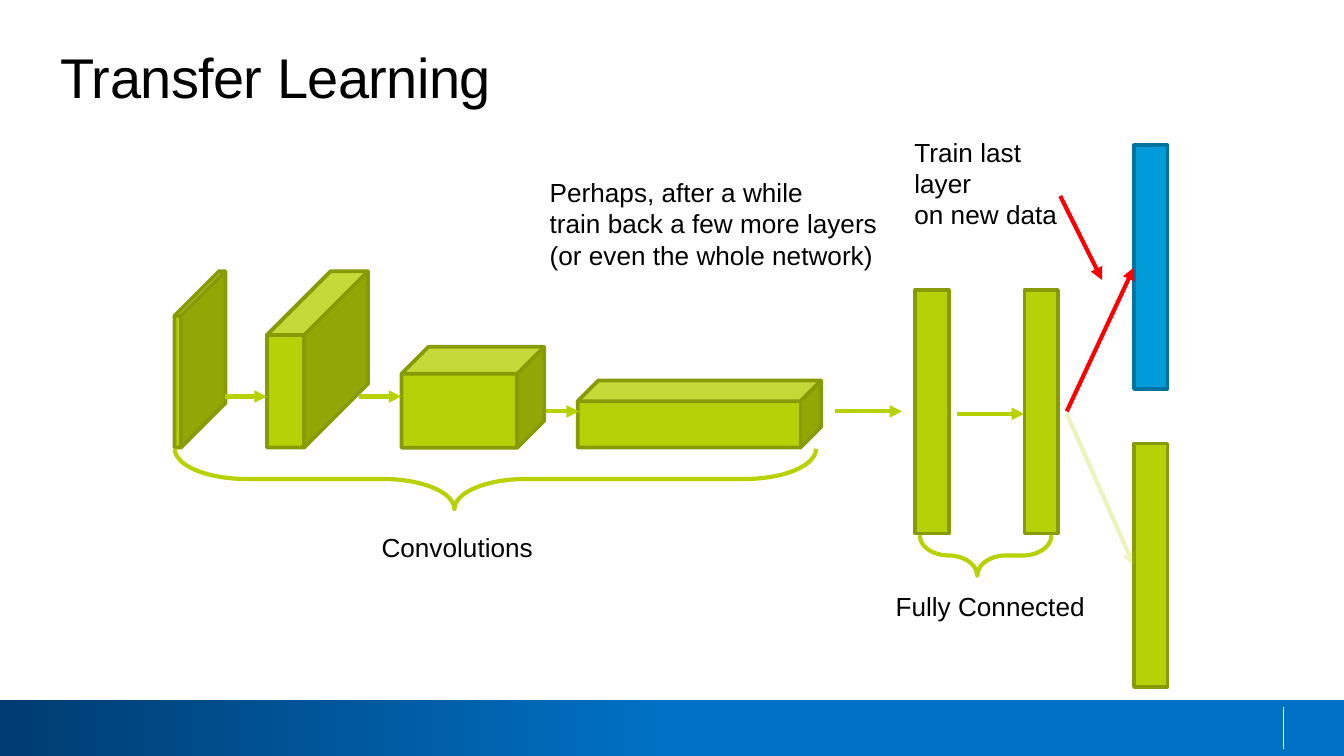
from lxml import etree
from pptx import Presentation
from pptx.dml.color import RGBColor
from pptx.enum.shapes import MSO_CONNECTOR, MSO_SHAPE
from pptx.enum.text import MSO_ANCHOR, PP_ALIGN
from pptx.oxml.ns import qn
from pptx.util import Pt

STRAIGHT = MSO_CONNECTOR.STRAIGHT
RECTANGLE = MSO_SHAPE.RECTANGLE
CUBE = MSO_SHAPE.CUBE
BRACE = MSO_SHAPE.RIGHT_BRACE
TOP = MSO_ANCHOR.TOP
LEFT = PP_ALIGN.LEFT

BLACK = RGBColor(0x00, 0x00, 0x00)
WHITE = RGBColor(0xFF, 0xFF, 0xFF)
NAVY = RGBColor(0x00, 0x3C, 0x71)
BLUE = RGBColor(0x00, 0x71, 0xC5)
LIME = RGBColor(0xB7, 0xD1, 0x08)
LIME_LINE = RGBColor(0xB7, 0xD1, 0x03)
OLIVE = RGBColor(0x87, 0x9B, 0x06)
SKY = RGBColor(0x00, 0x9C, 0xDA)
SKY_EDGE = RGBColor(0x00, 0x73, 0xA1)
RED = RGBColor(0xFF, 0x00, 0x00)

LAYER_WIDTH, LAYER_HEIGHT = 18, 130.5
CUBE_BASE = 239.8


class NetworkSlide:
    font_name = "Arial"
    text_size = 14
    title_size = 30
    edge_width = 2
    arrow_width = 2.25

    def __init__(self, slide):
        self.slide = slide

    def add_text(self, paragraph, text, size):
        paragraph.alignment = LEFT
        run = paragraph.add_run()
        run.text = text
        run.font.name = self.font_name
        run.font.size = Pt(size)
        run.font.color.rgb = BLACK
        return run

    def title(self, text, left, top, width, height):
        shape = self.slide.shapes.title
        shape.left, shape.top = Pt(left), Pt(top)
        shape.width, shape.height = Pt(width), Pt(height)
        frame = shape.text_frame
        frame.margin_left = Pt(0.9)
        frame.margin_right = frame.margin_top = frame.margin_bottom = 0
        frame.vertical_anchor = TOP
        run = self.add_text(frame.paragraphs[0], text, self.title_size)
        run._r.get_or_add_rPr().set("spc", "-30")

    def label(self, lines, left, top, width, height, wrap=False):
        box = self.slide.shapes.add_textbox(Pt(left), Pt(top), Pt(width), Pt(height))
        frame = box.text_frame
        frame.word_wrap = wrap
        for index, line in enumerate(lines):
            paragraph = frame.add_paragraph() if index else frame.paragraphs[0]
            self.add_text(paragraph, line, self.text_size)

    def shape(self, kind, left, top, width, height):
        shape = self.slide.shapes.add_shape(kind, Pt(left), Pt(top), Pt(width), Pt(height))
        shape.shadow.inherit = False
        return shape

    def block(self, kind, left, top, width, height, fill=LIME, edge=OLIVE):
        shape = self.shape(kind, left, top, width, height)
        shape.fill.solid()
        shape.fill.fore_color.rgb = fill
        shape.line.color.rgb = edge
        shape.line.width = Pt(self.edge_width)
        return shape

    def cube(self, left, width, height, depth):
        cube = self.block(CUBE, left, CUBE_BASE - height, width, height)
        cube.adjustments[0] = depth

    def layer(self, left, top, fill=LIME, edge=OLIVE):
        self.block(RECTANGLE, left, top, LAYER_WIDTH, LAYER_HEIGHT, fill, edge)

    def brace(self, left, top, width, height):
        brace = self.shape(BRACE, left + (width - height) / 2,
                           top + (height - width) / 2, height, width)
        brace.rotation = 90
        brace.adjustments[0] = 1.18
        brace.adjustments[1] = 0.564
        brace.fill.background()
        brace.line.color.rgb = LIME_LINE
        brace.line.width = Pt(self.arrow_width)

    def band(self, left, top, width, height):
        band = self.shape(RECTANGLE, left, top, width, height)
        band.line.fill.background()
        band.fill.gradient()
        band.fill.gradient_angle = 0
        for stop, color, position in zip(band.fill.gradient_stops, (NAVY, BLUE), (0, 0.5)):
            stop.color.rgb = color
            stop.position = position

    def line(self, start, end, color, width):
        line = self.slide.shapes.add_connector(
            STRAIGHT, Pt(start[0]), Pt(start[1]), Pt(end[0]), Pt(end[1]))
        line.line.color.rgb = color
        line.line.width = Pt(width)
        etree.SubElement(line._element.spPr, qn("a:effectLst"))
        return line

    def arrow(self, start, end, color=LIME_LINE, opacity=None):
        connector = self.line(start, end, color, self.arrow_width)
        outline = connector._element.spPr.find(qn("a:ln"))
        if opacity is not None:
            color_element = outline.find(".//" + qn("a:srgbClr"))
            etree.SubElement(color_element, qn("a:alpha"), val=str(opacity * 1000))
        etree.SubElement(outline, qn("a:tailEnd"), type="triangle")


def main():
    presentation = Presentation()
    presentation.slide_width, presentation.slide_height = Pt(720), Pt(405)
    slide = presentation.slides.add_slide(presentation.slide_layouts[5])
    network = NetworkSlide(slide)

    network.band(0, 375, 720, 30)
    network.line((687.6, 378.7), (687.6, 401.5), WHITE, 0.75)
    network.title("Transfer Learning", 31.5, 23, 664.5, 36)

    for left, width, height, depth in (
        (93.5, 27.3, 94.5, 0.875),
        (143, 54.2, 94.5, 0.631),
        (215.1, 76.5, 54, 0.268),
        (309.5, 130.5, 36, 0.31),
    ):
        network.cube(left, width, height, depth)

    for left, top in ((490.3, 155.4), (548.8, 155.4), (607.5, 237.6)):
        network.layer(left, top)

    for left, right, height in (
        (120.5, 143, 212.4),
        (192.5, 215, 212.4),
        (292.5, 310.2, 220.4),
        (447.3, 483.3, 220.4),
        (512.6, 548.7, 221.7),
    ):
        network.arrow((left, height), (right, height))
    network.arrow((571.5, 221.7), (607.5, 303), opacity=25)

    network.layer(607.5, 77.9, SKY, SKY_EDGE)
    network.arrow((571.5, 220.4), (607.5, 143.3), RED)

    network.brace(93.6, 240.4, 343.6, 32.4)
    network.brace(492.7, 286.7, 70.6, 21.8)

    network.label(["Convolutions"], 197.3, 281, 97.2, 24.2)
    network.label(["Fully Connected"], 472.7, 312.7, 117.4, 24.2)
    network.label(["Train last layer", "on new data"], 482.8, 69.3, 105.1, 41, wrap=True)
    network.arrow((568, 105), (590.4, 150), RED)
    network.label(
        ["Perhaps, after a while", "train back a few more layers", "(or even the whole network)"],
        287.4, 91, 190.1, 58)

    presentation.save("out.pptx")


if __name__ == "__main__":
    main()
